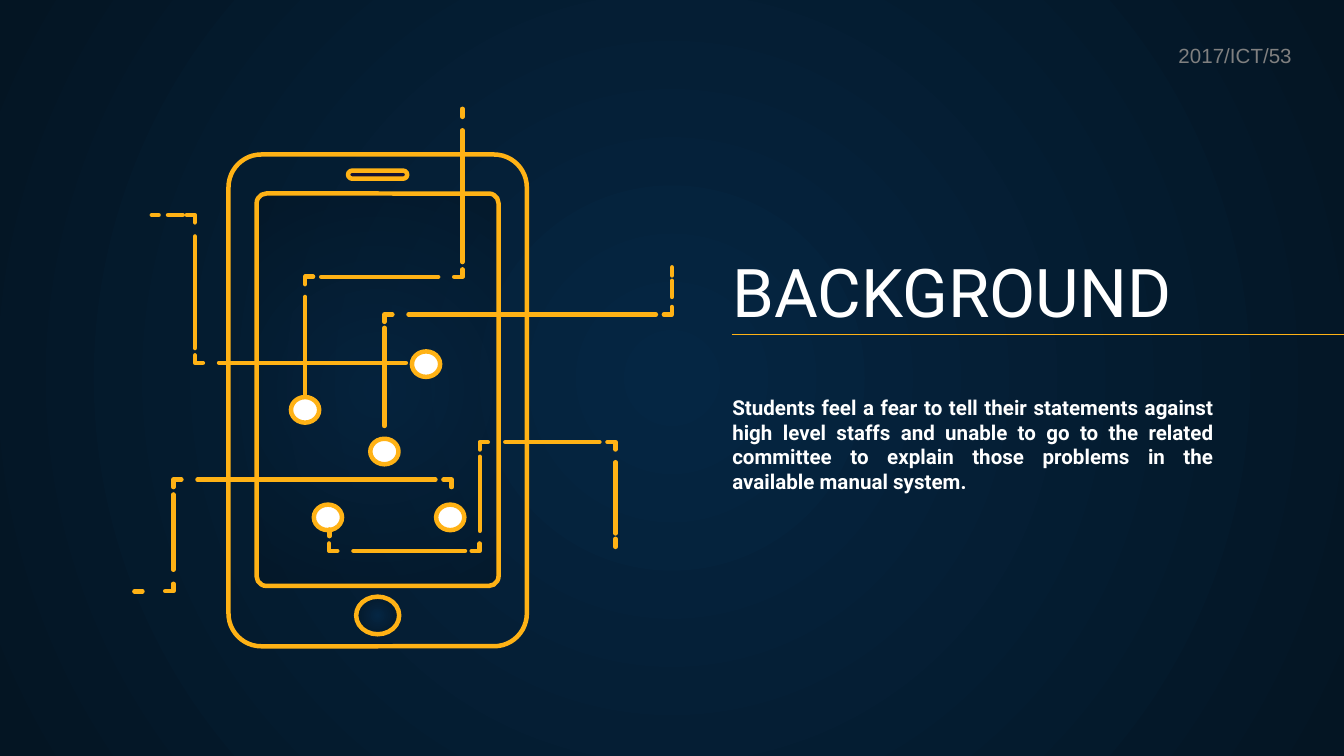
from dataclasses import dataclass
from itertools import pairwise

from lxml.etree import SubElement
from pptx import Presentation
from pptx.dml.color import RGBColor
from pptx.enum.shapes import MSO_CONNECTOR, MSO_SHAPE
from pptx.enum.text import MSO_ANCHOR, PP_ALIGN
from pptx.oxml import parse_xml
from pptx.oxml.ns import nsdecls, qn
from pptx.util import Cm, Pt

AMBER = RGBColor(0xFF, 0xB2, 0x15)
WHITE = RGBColor(0xFF, 0xFF, 0xFF)
GREY = RGBColor(0x80, 0x80, 0x80)
INDIGO = RGBColor(0x16, 0x12, 0x34)
NAVY = RGBColor(0x05, 0x26, 0x43)
MIDNIGHT = RGBColor(0x04, 0x15, 0x23)
STROKE = 2.4
DOT_SIZE = (0.21, 0.19)
CORNER_ARM = (0.06, 0.055)

Point = tuple[float, float]


@dataclass(frozen=True)
class Wire:
    dot: Point
    route: tuple[Point, ...]
    dashes: tuple[tuple[Point, Point], ...]


@dataclass(frozen=True)
class Label:
    text: str
    box: tuple[float, float, float, float]
    font: str
    size: float
    color: RGBColor
    bold: bool = False
    wrap: bool = True
    inset: float = 0.1
    anchor: MSO_ANCHOR = MSO_ANCHOR.TOP
    align: PP_ALIGN = PP_ALIGN.LEFT


WIRES = (
    Wire((2.44, 3.85),
         ((2.45, 3.94), (2.45, 4.1), (3.57, 4.1), (3.57, 3.29), (4.58, 3.29), (4.58, 4.07)),
         (((2.45, 3.94), (2.45, 3.99)), ((2.63, 4.1), (3.46, 4.1)),
          ((3.57, 3.95), (3.57, 3.4)), ((3.76, 3.29), (4.46, 3.29)),
          ((4.58, 3.44), (4.58, 3.97)), ((4.58, 4.01), (4.58, 4.07)))),
    Wire((3.17, 2.71),
         ((1.13, 1.6), (1.45, 1.6), (1.45, 2.7), (3.14, 2.7)),
         (((1.13, 1.6), (1.18, 1.6)), ((1.25, 1.6), (1.36, 1.6)),
          ((1.45, 1.76), (1.45, 2.59)), ((1.63, 2.7), (3.02, 2.7)))),
    Wire((3.35, 3.85),
         ((1, 4.4), (1.29, 4.4), (1.29, 3.57), (3.36, 3.57), (3.36, 3.82)),
         (((1, 4.4), (1.06, 4.4)), ((1.29, 4.24), (1.29, 3.68)),
          ((1.47, 3.57), (3.24, 3.57)))),
    Wire((2.86, 3.36),
         ((2.86, 3.32), (2.86, 2.34), (5, 2.34), (5, 1.99)),
         (((2.86, 3.17), (2.86, 2.44)), ((3.04, 2.34), (4.88, 2.34)),
          ((5, 2.21), (5, 2.09)), ((5, 2.05), (5, 1.99)))),
    Wire((2.27, 3.05),
         ((3.44, 0.81), (3.44, 2.06), (2.27, 2.06), (2.27, 3.05)),
         (((3.44, 0.81), (3.44, 0.87)), ((3.44, 0.97), (3.44, 1.95)),
          ((3.26, 2.06), (2.39, 2.06)), ((2.27, 2.21), (2.27, 2.95)))),
)

LABELS = (
    Label("BACKGROUND", (5.35, 1.9, 3.86, 0.66), "Roboto", 36, WHITE,
          anchor=MSO_ANCHOR.BOTTOM),
    Label("Students feel a fear to tell their statements against high level staffs "
          "and unable to go to the related committee to explain those problems in the "
          "available manual system.",
          (5.35, 2.84, 3.78, 1.55), "Roboto", 11, WHITE, bold=True, align=PP_ALIGN.JUSTIFY),
    Label("2017/ICT/53", (8.67, 0.27, 1.05, 0.29), "Arial", 11, GREY,
          wrap=False, inset=0.05),
)


def inches(*values: float) -> list[Cm]:
    return [Cm(value * 2.54) for value in values]


def use_radial_gradient(properties, opacity: int = 100) -> None:
    alpha = f'<a:alpha val="{opacity * 1000}"/>'
    gradient = parse_xml(
        f'<a:gradFill {nsdecls("a")} rotWithShape="1"><a:gsLst>'
        f'<a:gs pos="0"><a:srgbClr val="{NAVY}">{alpha}</a:srgbClr></a:gs>'
        f'<a:gs pos="100000"><a:srgbClr val="{MIDNIGHT}">{alpha}</a:srgbClr></a:gs>'
        '</a:gsLst><a:path path="circle">'
        '<a:fillToRect l="50000" t="50000" r="50000" b="50000"/></a:path></a:gradFill>'
    )
    properties.replace(properties.find(qn("a:solidFill")), gradient)


def outline(shape, width: float = STROKE) -> None:
    shape.line.color.rgb = AMBER
    shape.line.width = Pt(width)
    line = shape.element.spPr.get_or_add_ln()
    line.set("cap", "rnd")
    SubElement(line, qn("a:round"))


def draw_shape(page, kind: MSO_SHAPE, box: tuple, fill: RGBColor | None, roundness: float | None = None):
    shape = page.shapes.add_shape(kind, *inches(*box))
    shape.shadow.inherit = False
    if roundness is not None:
        shape.adjustments[0] = roundness
    if fill is None:
        shape.fill.background()
    else:
        shape.fill.solid()
        shape.fill.fore_color.rgb = fill
    outline(shape)
    return shape


def draw_line(page, start: Point, end: Point, width: float = STROKE) -> None:
    line = page.shapes.add_connector(MSO_CONNECTOR.STRAIGHT, *inches(*start, *end))
    outline(line, width)
    SubElement(line.element.spPr, qn("a:effectLst"))


def arm_end(corner: Point, neighbour: Point) -> Point:
    return tuple(
        here + arm * ((there > here) - (there < here))
        for here, there, arm in zip(corner, neighbour, CORNER_ARM)
    )


def draw_corner(page, before: Point, corner: Point, after: Point) -> None:
    points = [inches(*point) for point in (arm_end(corner, before), corner, arm_end(corner, after))]
    builder = page.shapes.build_freeform(*points[0])
    builder.add_line_segments(points[1:], close=False)
    shape = builder.convert_to_shape()
    shape.shadow.inherit = False
    shape.fill.background()
    outline(shape)


def draw_wire(page, wire: Wire) -> None:
    (center_x, center_y), (width, height) = wire.dot, DOT_SIZE
    draw_shape(page, MSO_SHAPE.OVAL,
               (center_x - width / 2, center_y - height / 2, width, height), WHITE)
    for start, end in wire.dashes:
        draw_line(page, start, end)
    for (before, corner), (_, after) in pairwise(pairwise(wire.route)):
        draw_corner(page, before, corner, after)


def draw_phone(page) -> None:
    draw_shape(page, MSO_SHAPE.ROUNDED_RECTANGLE, (1.7, 1.15, 2.22, 3.66), None, 0.11)
    screen = draw_shape(page, MSO_SHAPE.ROUNDED_RECTANGLE, (1.91, 1.44, 1.8, 2.92), NAVY, 0.04)
    use_radial_gradient(screen.element.spPr, 53)
    button = draw_shape(page, MSO_SHAPE.OVAL, (2.65, 4.44, 0.32, 0.28), NAVY)
    use_radial_gradient(button.element.spPr)
    draw_shape(page, MSO_SHAPE.ROUNDED_RECTANGLE, (2.59, 1.27, 0.44, 0.06), INDIGO, 0.5)


def draw_label(page, label: Label) -> None:
    frame = page.shapes.add_textbox(*inches(*label.box)).text_frame
    frame.word_wrap = label.wrap
    frame.vertical_anchor = label.anchor
    frame.margin_left, frame.margin_right = inches(0.1, 0.1)
    frame.margin_top, frame.margin_bottom = inches(label.inset, label.inset)
    para = frame.paragraphs[0]
    para.text = label.text
    para.alignment = label.align
    para.font.name = label.font
    para.font.size = Pt(label.size)
    para.font.bold = label.bold
    para.font.color.rgb = label.color


def main() -> None:
    deck = Presentation()
    deck.slide_width, deck.slide_height = Cm(25.4), Cm(14.29)
    page = deck.slides.add_slide(deck.slide_layouts[6])
    page.background.fill.solid()
    page.background.fill.fore_color.rgb = NAVY
    use_radial_gradient(page.element.cSld.bg.bgPr)
    draw_line(page, (5.45, 2.49), (10, 2.49), 0.75)
    draw_phone(page)
    for wire in WIRES:
        draw_wire(page, wire)
    for label in LABELS:
        draw_label(page, label)
    deck.save("out.pptx")


if __name__ == "__main__":
    main()
